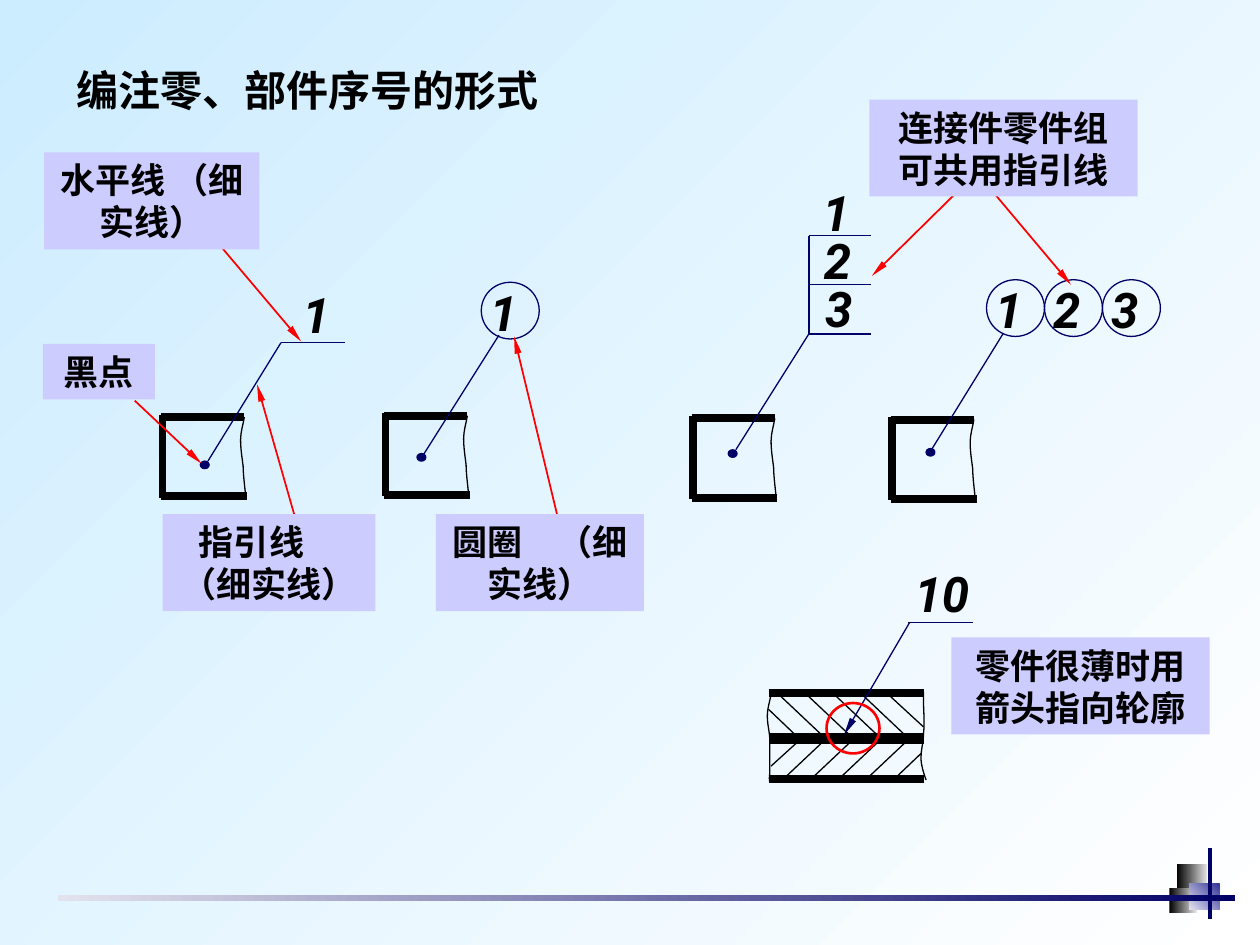
from lxml import etree
from pptx import Presentation
from pptx.dml.color import RGBColor
from pptx.enum.shapes import MSO_CONNECTOR, MSO_SHAPE
from pptx.enum.text import MSO_ANCHOR, PP_ALIGN
from pptx.oxml.ns import qn
from pptx.util import Inches, Pt

STRAIGHT = MSO_CONNECTOR.STRAIGHT
RECT, OVAL = MSO_SHAPE.RECTANGLE, MSO_SHAPE.OVAL
LEFT, CENTER = PP_ALIGN.LEFT, PP_ALIGN.CENTER
MIDDLE = MSO_ANCHOR.MIDDLE

COLORS = {"navy": "000066", "black": "000000", "red": "FF0000", "label": "CCCCFF",
          "sky": "CCECFF", "white": "FFFFFF", "silver": "E3E3E3", "pearl": "EAEAEA",
          "indigo": "333399", "mist": "E3E3F1", "haze": "E3E3EE"}
CJK, LATIN = "Noto Sans CJK SC", "Roboto"
THIN, ARROW, THICK, THICKEST = 0.75, 1, 4.5, 6


def rgb(name):
    return RGBColor.from_string(COLORS[name])


def set_gradient(fill, start, end, angle=0):
    fill.gradient()
    fill.gradient_angle = angle
    for stop, name, position in zip(fill.gradient_stops, (start, end), (0, 1)):
        stop.color.rgb = rgb(name)
        stop.position = position


def add_line(slide, start, end, color="navy", width=THIN, arrow=False):
    line = slide.shapes.add_connector(STRAIGHT, *map(Inches, (*start, *end)))
    line.line.color.rgb = rgb(color)
    line.line.width = Pt(width)
    if arrow:
        etree.SubElement(line.line._get_or_add_ln(), qn("a:tailEnd"),
                         type="triangle", w="sm", len="lg")
    etree.SubElement(line._element.spPr, qn("a:effectLst"))


def add_shape(slide, kind, box, fill=None, outline=None, width=THIN):
    shape = slide.shapes.add_shape(kind, *map(Inches, box))
    shape.shadow.inherit = False
    if fill:
        shape.fill.solid()
        shape.fill.fore_color.rgb = rgb(fill)
    else:
        shape.fill.background()
    if outline:
        shape.line.color.rgb = rgb(outline)
        shape.line.width = Pt(width)
    else:
        shape.line.fill.background()
    return shape


def add_curve(slide, start, *segments):
    """Draw chained cubic curves, each given as two handles and an end point."""
    points = [tuple(map(Inches, point)) for segment in segments for point in segment]
    builder = slide.shapes.build_freeform(Inches(start[0]), Inches(start[1]))
    builder.add_line_segments(points, close=False)
    curve = builder.convert_to_shape()
    # Turn every three straight steps into one cubic step
    steps = list(curve._element.iter(qn("a:lnTo")))
    for first in range(0, len(steps), 3):
        cubic = etree.Element(qn("a:cubicBezTo"))
        steps[first].addprevious(cubic)
        for step in steps[first:first + 3]:
            cubic.append(step[0])
            step.getparent().remove(step)
    curve.shadow.inherit = False
    curve.fill.background()
    curve.line.color.rgb = rgb("black")
    curve.line.width = Pt(THIN)


def write(shape, text, size, font=CJK, align=CENTER, italic=False, wrap=True):
    frame = shape.text_frame
    frame.text = text
    frame.word_wrap = wrap
    frame.vertical_anchor = MIDDLE
    for paragraph in frame.paragraphs:
        paragraph.alignment = align
        for run in paragraph.runs:
            run.font.size, run.font.name = Pt(size), font
            run.font.bold, run.font.italic = True, italic
            run.font.color.rgb = rgb("black")
            etree.SubElement(run._r.get_or_add_rPr(), qn("a:ea"), typeface=font)


def add_title(slide, box):
    title = slide.shapes.title
    title.left, title.top, title.width, title.height = map(Inches, box)
    write(title, "编注零、部件序号的形式", 24, align=LEFT)


def add_number(slide, text, left, top, width=0.41):
    box = slide.shapes.add_textbox(*map(Inches, (left, top, width, 0.57)))
    write(box, text, 28, LATIN, italic=True, wrap=False)


def add_label(slide, text, box):
    write(add_shape(slide, RECT, box, "label"), text, 20)


def add_leader(slide, dot, start, end):
    add_line(slide, start, end)
    add_shape(slide, OVAL, (*dot, 0.07, 0.06), "navy", "navy")


def add_circled_number(slide, text, left, top):
    add_shape(slide, OVAL, (left, top, 0.46, 0.45), outline="navy")
    add_number(slide, text, left - 0.03, top - 0.05)


def add_part(slide, x, y):
    """Part outline with a broken right edge."""
    add_line(slide, (x + 0.01, y - 0.02), (x + 0.01, y + 0.64), "black", THICK)
    add_line(slide, (x, y + 0.63), (x + 0.68, y + 0.63), "black", THICK)
    add_line(slide, (x, y), (x + 0.66, y), "black", THICK)
    edge = [[(0.65, 0.06), (0.63, 0.12), (0.63, 0.18)],
            [(0.63, 0.25), (0.64, 0.31), (0.65, 0.39)],
            [(0.65, 0.47), (0.67, 0.6), (0.67, 0.64)]]
    add_curve(slide, (x + 0.66, y), *[[(x + dx, y + dy) for dx, dy in part] for part in edge])


def add_number_stack(slide, x, y):
    """Three shelves that share one upright."""
    add_line(slide, (x, y), (x, y + 0.78))
    for row, number in enumerate("123"):
        shelf = y + 0.39 * row
        add_line(slide, (x, shelf), (x + 0.49, shelf))
        add_number(slide, number, x + 0.01 + 0.01 * row, y - 0.47 + 0.38 * row)


def add_thin_section(slide, x, y):
    """Two hatched thin plates, with an arrow leader to the joint."""
    for dy, width in ((0.68, THICK), (0.36, THICKEST), (0, THICK)):
        add_line(slide, (x, y + dy), (x + 1.23, y + dy), "black", width)

    def at(*offsets):
        return [(x + dx, y + dy) for dx, dy in offsets]

    add_curve(slide, (x + 1.25, y + 0.69),
              at((1.23, 0.63), (1.21, 0.58), (1.21, 0.51)),
              at((1.21, 0.45), (1.23, 0.39), (1.23, 0.32)),
              at((1.24, 0.24), (1.23, 0.13), (1.23, 0.08)),
              at((1.23, 0.03), (1.23, 0.01), (1.23, -0.01)))
    add_curve(slide, (x + 0.02, y + 0.01),
              at((0.01, 0.07), (-0.01, 0.12), (-0.01, 0.19)),
              at((-0.01, 0.25), (0.01, 0.31), (0.01, 0.38)),
              at((0.01, 0.46), (0.01, 0.57), (0.01, 0.62)),
              at((0.01, 0.67), (0, 0.69), (0.01, 0.71)))
    # Full hatch strokes at an even pitch, then the short strokes at the ends
    strokes = [((0, 0.13), (0.22, 0.34)), ((0.97, 0.03), (1.23, 0.27)),
               ((0.02, 0.58), (0.24, 0.38)), ((0.99, 0.69), (1.21, 0.48))]
    for i in range(4):
        dx = 0.22 * i
        strokes += [((0.09 + dx, 0.02), (0.44 + dx, 0.35)),
                    ((0.11 + dx, 0.69), (0.46 + dx, 0.36))]
    for stroke in strokes:
        add_line(slide, *at(*stroke), "black")

    add_line(slide, *at((1.12, -0.56), (0.6, 0.33)), arrow=True)
    add_line(slide, *at((1.11, -0.56), (1.62, -0.56)))
    add_number(slide, "10", x + 1.01, y - 1.08, 0.73)
    add_shape(slide, OVAL, (x + 0.46, y + 0.08, 0.42, 0.4), outline="red", width=1.5)


def add_footer(slide, x, y):
    """Corner ornament and fading rule."""
    blocks = [((x + 8.88, y - 0.24, 0.24, 0.19), "black", "silver", 0),
              ((x + 8.82, y - 0.05, 0.22, 0.2), "black", "pearl", 0),
              ((x + 8.98, y - 0.09, 0.24, 0.21), "indigo", "mist", 225),
              ((x, y, 9.34, 0.05), "haze", "navy", 0)]
    for box, start, end, angle in blocks:
        set_gradient(add_shape(slide, RECT, box).fill, start, end, angle)
    add_line(slide, (x + 9.14, y - 0.37), (x + 9.14, y + 0.19), width=2.25)


def main():
    prs = Presentation()
    prs.slide_width, prs.slide_height = Inches(10), Inches(7.5)
    slide = prs.slides.add_slide(prs.slide_layouts[5])
    set_gradient(slide.background.fill, "sky", "white", 315)
    add_title(slide, (0.51, 0.46, 4.19, 0.5))
    add_footer(slide, 0.46, 7.1)

    # Parts with their leaders
    for corner in ((1.28, 3.31), (3.05, 3.3), (5.49, 3.32), (7.07, 3.33)):
        add_part(slide, *corner)
    for dot, start, end in (((1.59, 3.66), (1.65, 3.66), (2.23, 2.72)),
                            ((3.31, 3.6), (3.36, 3.61), (3.96, 2.66)),
                            ((5.78, 3.57), (5.84, 3.57), (6.42, 2.65)),
                            ((7.35, 3.56), (7.38, 3.59), (7.96, 2.65))):
        add_leader(slide, dot, start, end)

    # Numbers on a shelf, in circles and in a stack
    add_line(slide, (2.23, 2.72), (2.74, 2.72))
    add_number(slide, "1", 2.28, 2.21, 0.46)
    add_circled_number(slide, "1", 3.82, 2.24)
    for i, number in enumerate("123"):
        add_circled_number(slide, number, 7.83 + 0.46 * i, 2.22)
    add_number_stack(slide, 6.42, 1.87)
    add_thin_section(slide, 6.1, 5.5)

    # Callout arrows run under their labels
    for start, end in (((1.68, 1.87), (2.39, 2.71)), ((2.36, 4.17), (2.04, 3.05)),
                       ((4.43, 4.12), (4.08, 2.67)), ((1.07, 3.18), (1.6, 3.68)),
                       ((7.62, 1.5), (6.92, 2.19)), ((7.87, 1.51), (8.5, 2.26))):
        add_line(slide, start, end, "red", ARROW, arrow=True)
    for text, box in (("水平线 （细实线）", (0.35, 1.21, 1.71, 0.77)),
                      ("黑点", (0.34, 2.73, 0.89, 0.44)),
                      ("指引线　（细实线）", (1.29, 4.08, 1.69, 0.77)),
                      ("圆圈　（细实线）", (3.46, 4.08, 1.65, 0.77)),
                      ("连接件零件组\n可共用指引线", (6.9, 0.79, 2.13, 0.77)),
                      ("零件很薄时用箭头指向轮廓", (7.55, 5.06, 2.05, 0.77))):
        add_label(slide, text, box)

    prs.save("out.pptx")


if __name__ == "__main__":
    main()
